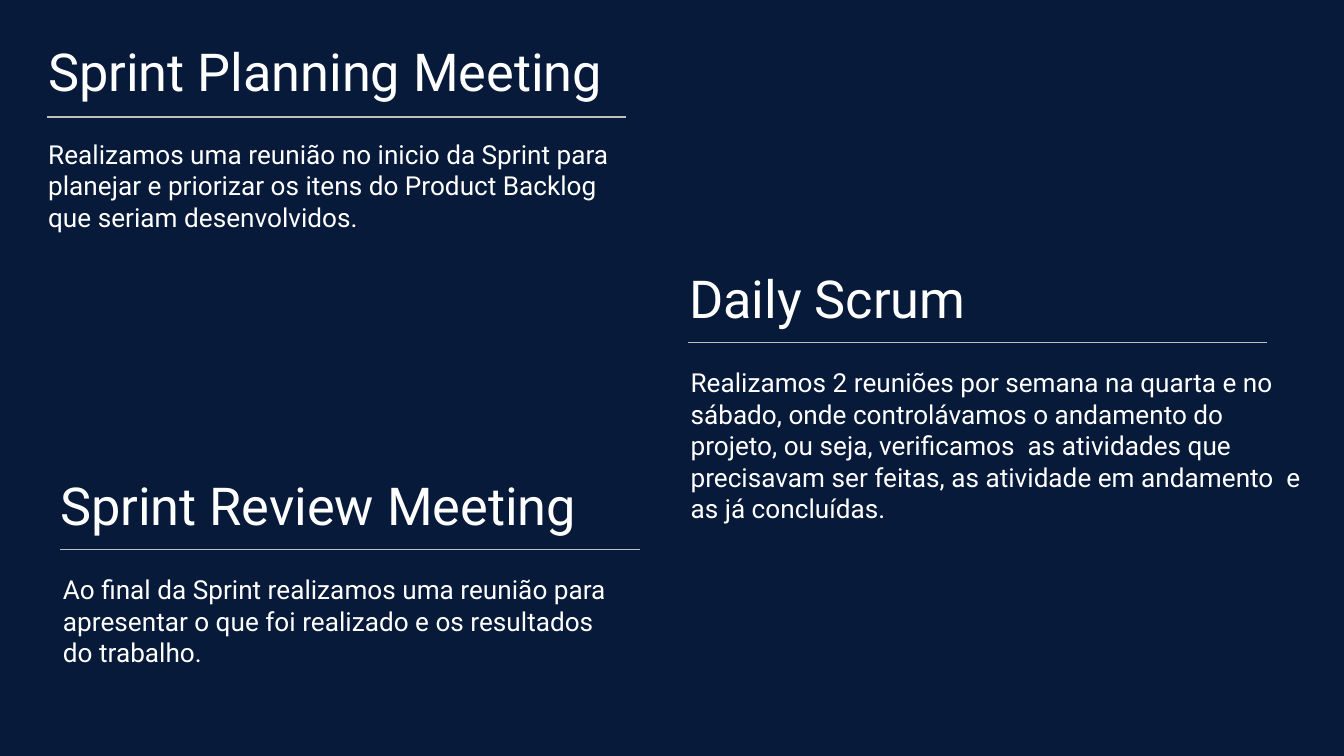
from dataclasses import dataclass

from lxml import etree
from pptx import Presentation
from pptx.dml.color import RGBColor
from pptx.enum.shapes import MSO_CONNECTOR
from pptx.enum.text import MSO_ANCHOR
from pptx.oxml.ns import qn
from pptx.util import Inches, Pt

STRAIGHT = MSO_CONNECTOR.STRAIGHT
TOP = MSO_ANCHOR.TOP
BOTTOM = MSO_ANCHOR.BOTTOM

COLORS = {"background": "071A3A", "text": "FFFFFF", "rule": "BFBFBF"}
FONT = "Roboto"
TITLE_W, TITLE_H = 4.77, 0.66
BODY_H = 1.04
RULE_W = 4.31


@dataclass
class Meeting:
    title: str
    body: str
    title_at: tuple[float, float]
    body_at: tuple[float, float]
    body_width: float
    rule_at: tuple[float, float]


MEETINGS = [
    Meeting(
        "Sprint Planning Meeting",
        "Realizamos uma reunião no inicio da Sprint para planejar e priorizar "
        "os itens do Product Backlog que seriam desenvolvidos.",
        (0.26, 0.2), (0.26, 0.93), 4.39, (0.35, 0.87),
    ),
    Meeting(
        "Daily Scrum",
        "Realizamos 2 reuniões por semana na quarta e no sábado, onde "
        "controlávamos o andamento do projeto, ou seja, verificamos  as "
        "atividades que precisavam ser feitas, as atividade em andamento  e "
        "as já concluídas.",
        (5.03, 1.89), (5.04, 2.63), 4.76, (5.12, 2.55),
    ),
    Meeting(
        "Sprint Review Meeting",
        "Ao final da Sprint realizamos uma reunião para apresentar o que foi "
        "realizado e os resultados do trabalho.",
        (0.35, 3.43), (0.37, 4.17), 4.39, (0.45, 4.09),
    ),
]


def add_text(s, text: str, at: tuple[float, float], width: float,
             height: float, size: int, anchor: MSO_ANCHOR) -> None:
    left, top = at
    sp = s.shapes.add_textbox(Inches(left), Inches(top), Inches(width), Inches(height))
    tf = sp.text_frame
    tf.word_wrap = True
    tf.vertical_anchor = anchor
    tf.margin_left = tf.margin_right = Inches(0.1)
    tf.margin_top = tf.margin_bottom = Inches(0.1)
    tf.text = text
    r = tf.paragraphs[0].runs[0]
    r.font.name = FONT
    r.font.size = Pt(size)
    r.font.color.rgb = RGBColor.from_string(COLORS["text"])


def add_rule(s, at: tuple[float, float], width: float) -> None:
    left, top = at
    line = s.shapes.add_connector(
        STRAIGHT, Inches(left), Inches(top), Inches(left + width), Inches(top))
    line.line.color.rgb = RGBColor.from_string(COLORS["rule"])
    line.line.width = Pt(0.75)
    etree.SubElement(line._element.spPr, qn("a:effectLst"))


def add_meeting(s, m: Meeting) -> None:
    add_text(s, m.title, m.title_at, TITLE_W, TITLE_H, 28, BOTTOM)
    add_text(s, m.body, m.body_at, m.body_width, BODY_H, 14, TOP)
    add_rule(s, m.rule_at, RULE_W)


def main() -> None:
    """Build the slide on the Scrum meetings and save it."""
    prs = Presentation()
    prs.slide_width = Inches(10)
    prs.slide_height = Inches(10 * 9 / 16)
    s = prs.slides.add_slide(prs.slide_layouts[6])
    fill = s.background.fill
    fill.solid()
    fill.fore_color.rgb = RGBColor.from_string(COLORS["background"])
    for m in MEETINGS:
        add_meeting(s, m)
    prs.save("out.pptx")


if __name__ == "__main__":
    main()
